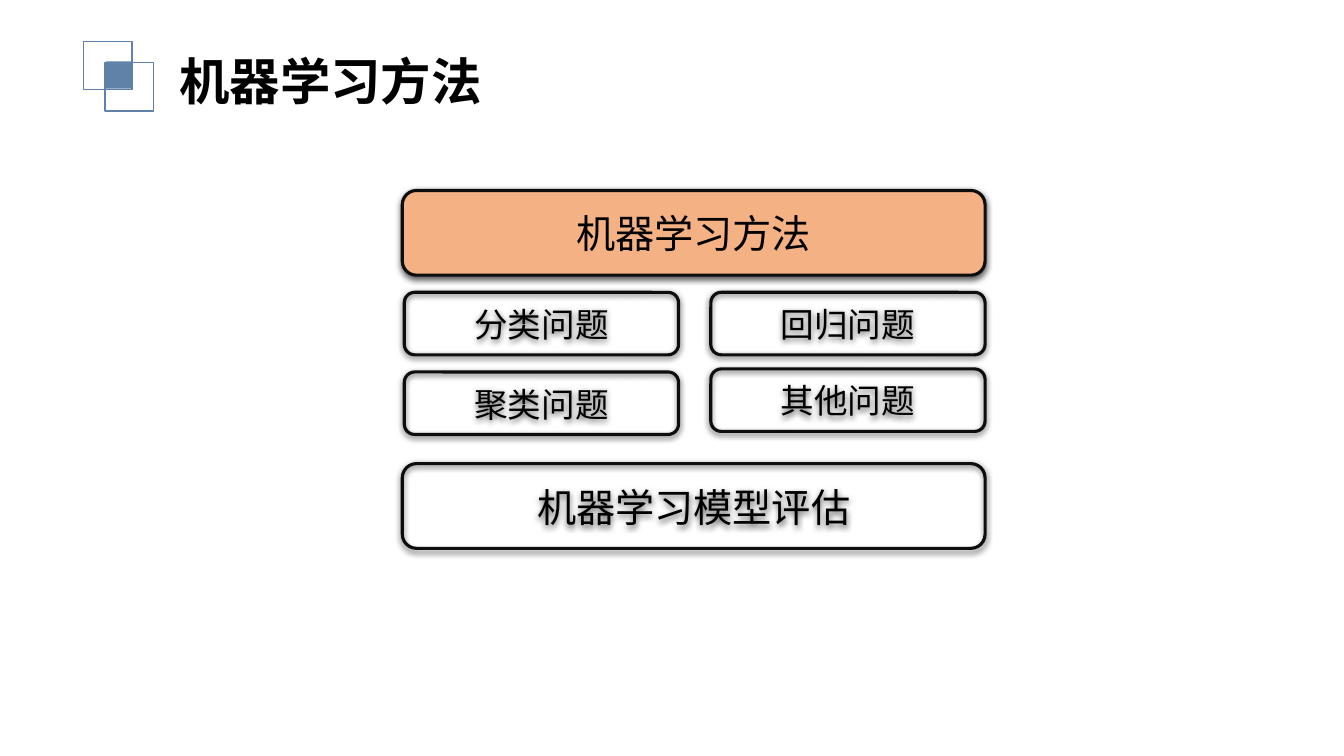
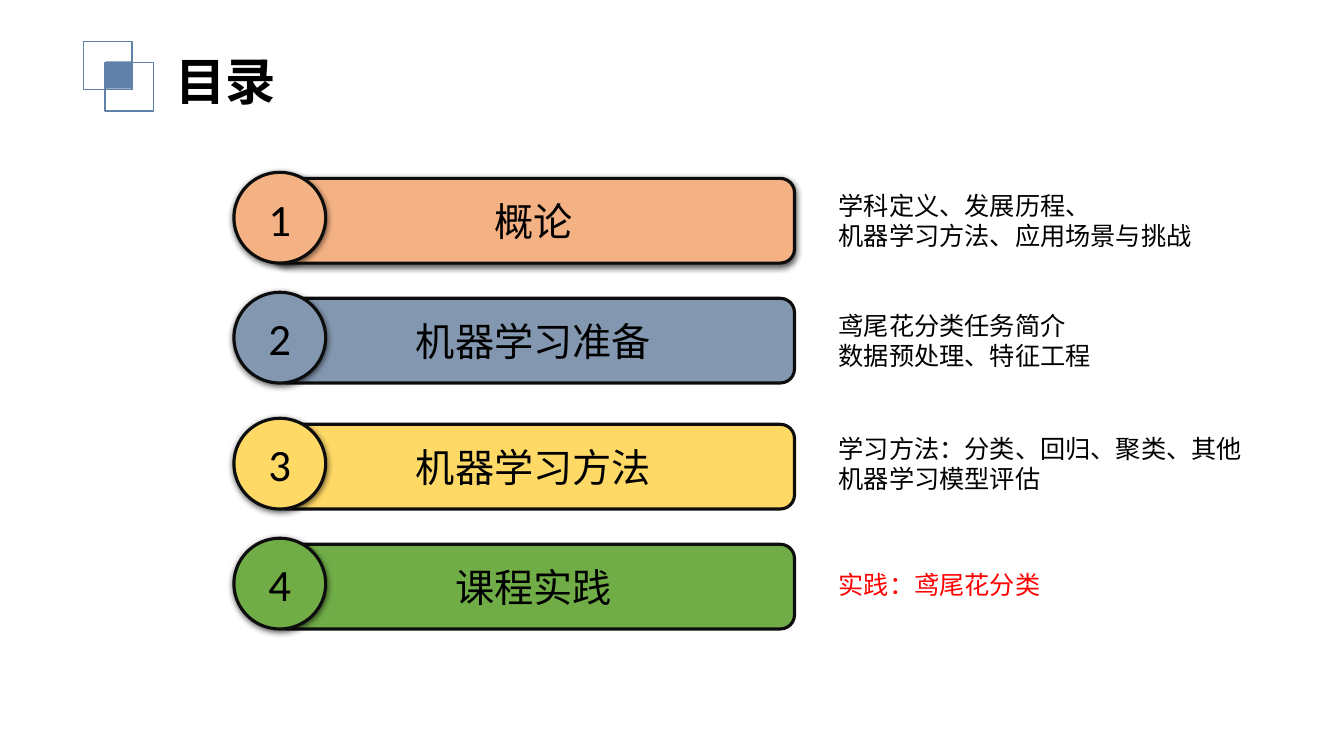
from pptx import Presentation, util as u
from pptx.dml.color import RGBColor
from pptx.enum import shapes, text
from pptx.oxml import parse_xml
from pptx.oxml.ns import nsdecls, qn

CJK, LATIN = "Noto Sans CJK SC", "Calibri"
BLACK, OUTLINE, ACCENT = "000000", "0D0D0D", "6082A9"
ORANGE, SLATE, YELLOW, GREEN, RED = "F4B183", "8497B0", "FFD966", "70AD47", "FF0000"
RECT = shapes.MSO_SHAPE.RECTANGLE
ROUNDED = shapes.MSO_SHAPE.ROUNDED_RECTANGLE
OVAL = shapes.MSO_SHAPE.OVAL
LINE_HEIGHT = 1.22

SHADOW = (f'<a:outerShdw {nsdecls("a")} blurRad="{u.Pt(4.5)}" dist="{u.Pt(1.5)}" '
          'dir="5400000" algn="t" rotWithShape="0"><a:srgbClr val="000000">'
          '<a:alpha val="63000"/></a:srgbClr></a:outerShdw>')

TITLE = {"size": u.Pt(36), "bold": True, "name": CJK}
HEADING = {"size": u.Pt(28), "name": CJK}
TOPIC = {"size": u.Pt(24), "name": CJK}
NUMBER = {"size": u.Pt(32), "name": LATIN}
NOTE = {"size": u.Pt(18), "name": CJK}


def rgb(value):
    return RGBColor.from_string(value)


def inches(*lengths):
    return [u.Inches(n) for n in lengths]


def write(tf, lines, style, color=BLACK, align=None):
    """Fill a text frame with one paragraph per line."""
    tf.word_wrap = True
    for i, line in enumerate(lines):
        p = tf.paragraphs[0] if i == 0 else tf.add_paragraph()
        p.alignment = align
        p.line_spacing = u.Pt(style["size"].pt * LINE_HEIGHT)
        r = p.add_run()
        r.text = line
        for key, value in style.items():
            setattr(r.font, key, value)
        r.font.color.rgb = rgb(color)
        ea = parse_xml(f'<a:ea {nsdecls("a")} typeface="{CJK}"/>')
        r.font._element.find(qn("a:latin")).addnext(ea)


def add_box(s, kind, at, fill=None, line=None, width=1, shadow=False):
    sp = s.shapes.add_shape(kind, *inches(*at))
    if fill:
        sp.fill.solid()
        sp.fill.fore_color.rgb = rgb(fill)
    else:
        sp.fill.background()
    if line:
        sp.line.color.rgb = rgb(line)
        sp.line.width = u.Pt(width)
    else:
        sp.line.fill.background()
    sp.shadow.inherit = False
    if shadow:
        sp._element.spPr.find(qn("a:effectLst")).append(parse_xml(SHADOW))
    return sp


def add_label(s, kind, at, label, style, fill=None, shadow=True):
    """Add an outlined shape with centred text."""
    sp = add_box(s, kind, at, fill, OUTLINE, 2.25, shadow)
    sp.text_frame.vertical_anchor = text.MSO_ANCHOR.MIDDLE
    write(sp.text_frame, [label], style, align=text.PP_ALIGN.CENTER)


def add_text(s, at, lines, style, color=BLACK):
    tf = s.shapes.add_textbox(*inches(*at)).text_frame
    write(tf, lines, style, color)
    tf.auto_size = text.MSO_AUTO_SIZE.SHAPE_TO_FIT_TEXT


def add_slide(prs, title, left, width):
    """Add a slide with the square ornament and its title."""
    s = prs.slides.add_slide(prs.slide_layouts[6])
    add_box(s, RECT, (0.83, 0.41, 0.48, 0.48), line=ACCENT)
    add_box(s, RECT, (1.04, 0.62, 0.48, 0.48), line=ACCENT)
    add_box(s, RECT, (1.05, 0.61, 0.25, 0.27), fill=ACCENT)
    add_text(s, (left, 0.44, width, 0.71), [title], TITLE)
    return s


def build_methods(prs):
    s = add_slide(prs, "机器学习方法", 1.68, 3.84)
    add_label(s, ROUNDED, (3.99, 1.89, 5.78, 0.84), "机器学习方法", HEADING, ORANGE)
    topics = [(4.01, 2.9, "分类问题"), (7.05, 2.9, "回归问题"),
              (4.01, 3.69, "聚类问题"), (7.05, 3.66, "其他问题")]
    for left, top, topic in topics:
        add_label(s, ROUNDED, (left, top, 2.72, 0.62), topic, TOPIC)
    add_label(s, ROUNDED, (3.99, 4.6, 5.78, 0.84), "机器学习模型评估", HEADING)


def build_contents(prs):
    s = add_slide(prs, "目录", 1.64, 1.27)
    chapters = [
        (1.77, "概论", ORANGE, 1.83, 3.76, BLACK,
         ["学科定义、发展历程、", "机器学习方法、应用场景与挑战"]),
        (2.96, "机器学习准备", SLATE, 3.02, 3, BLACK,
         ["鸢尾花分类任务简介", "数据预处理、特征工程"]),
        (4.21, "机器学习方法", YELLOW, 4.24, 4.3, BLACK,
         ["学习方法：分类、回归、聚类、其他", "机器学习模型评估"]),
        (5.4, "课程实践", GREEN, 5.59, 3, RED, ["实践：鸢尾花分类"]),
    ]
    for i, (top, name, fill, note_top, width, color, lines) in enumerate(chapters, 1):
        add_label(s, ROUNDED, (2.7, top, 5.18, 0.84), name, HEADING, fill, shadow=i == 1)
        add_label(s, OVAL, (2.32, top - 0.06, 0.91, 0.9), str(i), NUMBER, fill)
        height = 0.4 + 0.31 * (len(lines) - 1)
        add_text(s, (8.22, note_top, width, height), lines, NOTE, color)


def main():
    prs = Presentation()
    prs.slide_width, prs.slide_height = inches(13.33, 7.5)
    build_methods(prs)
    build_contents(prs)
    prs.save("out.pptx")


if __name__ == "__main__":
    main()
